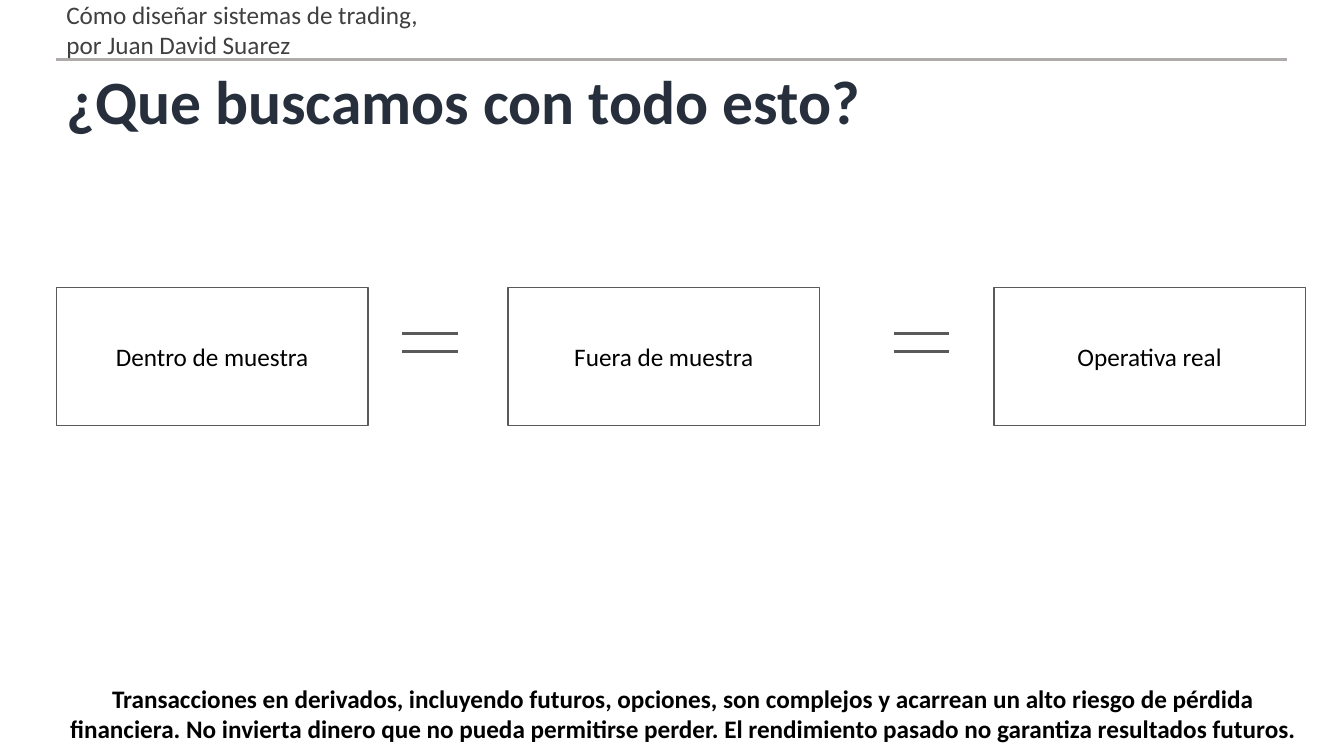
"""Build the slide comparing in-sample, out-of-sample and live results."""
import lxml.etree
import pptx
import pptx.dml.color
import pptx.enum.shapes
import pptx.enum.text
import pptx.oxml.ns
import pptx.util

Pt = pptx.util.Pt
RGBColor = pptx.dml.color.RGBColor
Align = pptx.enum.text.PP_ALIGN

RULE_GREY = RGBColor(0xAF, 0xAB, 0xAB)
HEADER_GREY = RGBColor(0x40, 0x40, 0x40)
TITLE_NAVY = RGBColor(0x26, 0x2F, 0x3B)
OUTLINE_GREY = RGBColor(0x5A, 0x5A, 0x5A)
BLACK = RGBColor(0, 0, 0)

FONT = "Calibri"
LEFT = 40.3
DISCLAIMER = (
    "Transacciones en derivados, incluyendo futuros, opciones, son complejos y "
    "acarrean un alto riesgo de pérdida financiera. No invierta dinero que no pueda "
    "permitirse perder. El rendimiento pasado no garantiza resultados futuros."
)
STAGES = [
    ("Dentro de muestra", LEFT),
    ("Fuera de muestra", 362.9),
    ("Operativa real", 709.9),
]
EQUALS_LEFTS = [287.3, 638.6]
EQUALS_WIDTH = 39.6
EQUALS_TOPS = [238.3, 251.3]


def write_text(shape, text, size, color, align=Align.LEFT, bold=False):
    """Fill a shape with one formatted, vertically centred paragraph."""
    frame = shape.text_frame
    frame.text = text
    frame.word_wrap = True
    frame.auto_size = pptx.enum.text.MSO_AUTO_SIZE.NONE
    frame.vertical_anchor = pptx.enum.text.MSO_ANCHOR.MIDDLE
    para = frame.paragraphs[0]
    para.alignment = align
    font = para.runs[0].font
    font.name = FONT
    font.size = Pt(size)
    font.bold = bold
    font.color.rgb = color


def add_label(page, text, left, top, width, height, color, **style):
    """Add a text box holding an 18-point label."""
    box = page.shapes.add_textbox(Pt(left), Pt(top), Pt(width), Pt(height))
    write_text(box, text, 18, color, **style)


def add_rule(page, left, top, width, color, weight):
    """Add a horizontal line without a shadow."""
    rule = page.shapes.add_connector(
        pptx.enum.shapes.MSO_CONNECTOR.STRAIGHT,
        Pt(left), Pt(top), Pt(left + width), Pt(top),
    )
    rule.line.color.rgb = color
    rule.line.width = Pt(weight)
    properties = rule._element.spPr
    lxml.etree.SubElement(properties, pptx.oxml.ns.qn("a:effectLst"))


def add_stage(page, text, left):
    """Add an outlined box naming one stage."""
    box = page.shapes.add_shape(
        pptx.enum.shapes.MSO_SHAPE.RECTANGLE, Pt(left), Pt(205.2), Pt(222.5), Pt(98.6)
    )
    box.shadow.inherit = False
    box.fill.background()
    box.line.color.rgb = OUTLINE_GREY
    box.line.width = Pt(1)
    write_text(box, text, 18, BLACK, Align.CENTER)


def add_equals(page, left):
    """Add an equals sign made of two lines."""
    for top in EQUALS_TOPS:
        add_rule(page, left, top, EQUALS_WIDTH, OUTLINE_GREY, 2.25)


def set_title(page, text):
    """Place and format the title placeholder."""
    title = page.shapes.title
    title.left, title.top = Pt(LEFT), Pt(46.1)
    title.width, title.height = Pt(878.4), Pt(56.9)
    write_text(title, text, 44, TITLE_NAVY, bold=True)
    title.text_frame.paragraphs[0].line_spacing = 0.9


def main():
    """Assemble the slide and save the deck."""
    deck = pptx.Presentation()
    deck.slide_width, deck.slide_height = Pt(960), Pt(540)
    page = deck.slides.add_slide(deck.slide_layouts[5])
    add_rule(page, LEFT, 42.5, 879.1, RULE_GREY, 1.5)
    add_label(page, "Cómo diseñar sistemas de trading, por Juan David Suarez",
              LEFT, 8.6, 283, 24.5, HEADER_GREY)
    add_label(page, DISCLAIMER, LEFT, 486.7, 895.7, 45.4, BLACK,
              align=Align.CENTER, bold=True)
    set_title(page, "¿Que buscamos con todo esto?")
    for text, left in STAGES:
        add_stage(page, text, left)
    for left in EQUALS_LEFTS:
        add_equals(page, left)
    deck.save("out.pptx")


if __name__ == "__main__":
    main()
